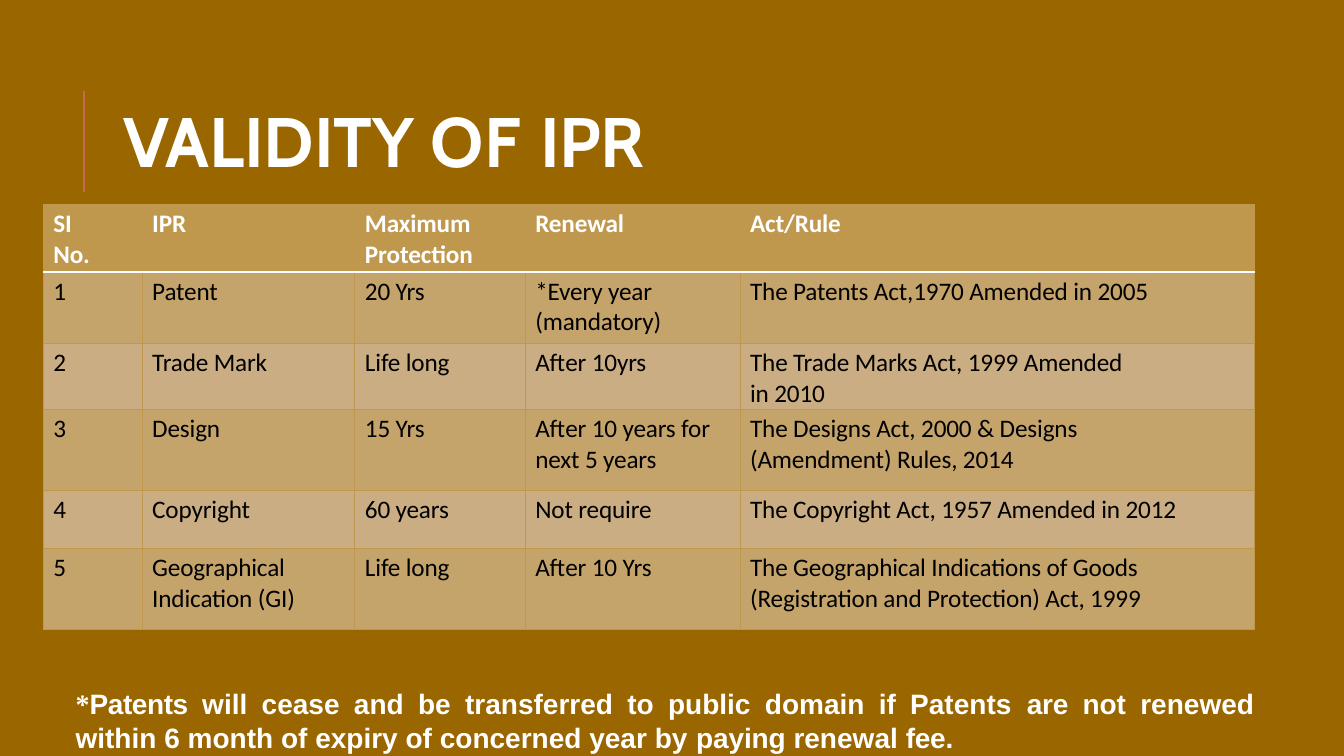
from lxml.etree import SubElement
from pptx import Presentation
from pptx.dml.color import RGBColor
from pptx.enum.shapes import MSO_CONNECTOR
from pptx.enum.text import MSO_ANCHOR, PP_ALIGN
from pptx.oxml import parse_xml
from pptx.oxml.ns import nsdecls, qn
from pptx.util import Inches, Pt

BROWN = RGBColor(0x99, 0x66, 0x00)
GOLD = RGBColor(0xBF, 0x97, 0x4D)
DARK_BAND = RGBColor(0xC5, 0xA4, 0x6C)
LIGHT_BAND = RGBColor(0xCA, 0xAD, 0x82)
RUST = RGBColor(0xC6, 0x69, 0x51)
WHITE = RGBColor(0xFF, 0xFF, 0xFF)
BLACK = RGBColor(0x00, 0x00, 0x00)

COLUMN_WIDTHS = [0.98, 2.11, 1.69, 2.13, 5.1]
ROW_HEIGHTS = [0.67, 0.71, 0.58, 0.81, 0.57, 0.81]
ROWS = [
    ["SI\nNo.", "IPR", "Maximum Protection", "Renewal", "Act/Rule"],
    ["1", "Patent", "20 Yrs", "*Every year (mandatory)",
     "The Patents Act,1970 Amended in 2005"],
    ["2", "Trade Mark", "Life long", "After 10yrs",
     "The Trade Marks Act, 1999 Amended in 2010"],
    ["3", "Design", "15 Yrs", "After 10 years for next 5 years",
     "The Designs Act, 2000 & Designs (Amendment) Rules, 2014"],
    ["4", "Copyright", "60 years", "Not require",
     "The Copyright Act, 1957 Amended in 2012"],
    ["5", "Geographical Indication (GI)", "Life long", "After 10 Yrs",
     "The Geographical Indications of Goods (Registration and Protection) Act, 1999"],
]
NARROW_CELLS = {(2, 4), (3, 4)}


def add_run(paragraph, text, font_name, size, color, bold, spacing=0):
    run = paragraph.add_run()
    run.text = text
    run.font.name = font_name
    run.font.size = Pt(size)
    run.font.color.rgb = color
    run.font.bold = bold
    run.font._element.set("spc", str(round(spacing * 100)))


def set_margins(frame, top):
    frame.margin_left = frame.margin_right = frame.margin_bottom = 0
    frame.margin_top = Inches(top)


def add_title(slide, left, top, width, height):
    rule = slide.shapes.add_connector(
        MSO_CONNECTOR.STRAIGHT, Inches(left - 0.29), Inches(top + 1.26),
        Inches(left - 0.29), Inches(top + 0.26))
    rule.line.color.rgb = RUST
    rule.line.width = Pt(1.5)
    SubElement(rule._element.spPr, qn("a:effectLst"))
    title = slide.shapes.title
    title.left, title.top = Inches(left), Inches(top)
    title.width, title.height = Inches(width), Inches(height)
    frame = title.text_frame
    frame.vertical_anchor = MSO_ANCHOR.MIDDLE
    paragraph = frame.paragraphs[0]
    paragraph.alignment = PP_ALIGN.LEFT
    paragraph.line_spacing = 0.8
    for text, spacing in [("VALIDITY ", -0.1), ("OF ", 1), ("IPR", -0.2)]:
        add_run(paragraph, text, "Cabin", 50, WHITE, True, spacing)


def add_borders(cell, top_color, top_width, bottom_color, bottom_width):
    properties = cell._tc.get_or_add_tcPr()
    borders = [("lnL", GOLD, 0.75), ("lnR", GOLD, 0.75),
               ("lnT", top_color, top_width), ("lnB", bottom_color, bottom_width)]
    for index, (side, color, width) in enumerate(borders):
        properties.insert(index, parse_xml(
            f'<a:{side} {nsdecls("a")} w="{Pt(width)}"><a:solidFill>'
            f'<a:srgbClr val="{color}"/></a:solidFill></a:{side}>'))


def fill_cell(cell, text, row, narrow):
    header = row == 0
    set_margins(cell, 0.04)
    cell.fill.solid()
    cell.fill.fore_color.rgb = GOLD if header else DARK_BAND if row % 2 else LIGHT_BAND
    for index, line in enumerate(text.split("\n")):
        frame = cell.text_frame
        paragraph = frame.add_paragraph() if index else frame.paragraphs[0]
        properties = paragraph._p.get_or_add_pPr()
        properties.set("marL", str(Inches(0.1)))
        if narrow:
            properties.set("marR", str(Inches(1.19)))
        add_run(paragraph, line, "Calibri", 18, WHITE if header else BLACK, header, -0.1)
    top = (WHITE, 1.25) if row == 1 else (GOLD, 0.75)
    bottom = (WHITE, 1.25) if header else (GOLD, 0.75)
    add_borders(cell, *top, *bottom)


def add_validity_table(slide, left, top, width, height):
    table = slide.shapes.add_table(
        len(ROWS), len(COLUMN_WIDTHS), Inches(left), Inches(top),
        Inches(width), Inches(height)).table
    for column, column_width in zip(table.columns, COLUMN_WIDTHS):
        column.width = Inches(column_width)
    for row, row_height in zip(table.rows, ROW_HEIGHTS):
        row.height = Inches(row_height)
    for row, texts in enumerate(ROWS):
        for column, text in enumerate(texts):
            fill_cell(table.cell(row, column), text, row, (row, column) in NARROW_CELLS)


def add_footnote(slide, left, top, width, height):
    box = slide.shapes.add_textbox(Inches(left), Inches(top), Inches(width), Inches(height))
    frame = box.text_frame
    frame.word_wrap = True
    set_margins(frame, 0.01)
    paragraph = frame.paragraphs[0]
    paragraph.alignment = PP_ALIGN.JUSTIFY
    paragraph.line_spacing = 1.01
    paragraph._p.get_or_add_pPr().set("marL", str(Inches(0.01)))
    add_run(paragraph, "*", "Times New Roman", 20, WHITE, True, -0.3)
    for text, spacing in [
        ("Patents ", -0.3),
        ("will cease and be transferred to public domain if Patents ", 0),
        ("are ", -0.2),
        ("not renewed within 6 month of expiry of concerned year by ", 0),
        ("paying ", -0.1), ("renewal ", 0), ("fee.", -0.2),
    ]:
        add_run(paragraph, text, "Arial", 20, WHITE, True, spacing)


def main():
    presentation = Presentation()
    presentation.slide_width = Inches(13.33)
    presentation.slide_height = Inches(7.5)
    slide = presentation.slides.add_slide(presentation.slide_layouts.get_by_name("Title Only"))
    slide.background.fill.solid()
    slide.background.fill.fore_color.rgb = BROWN
    add_title(slide, 1.12, 0.64, 10.63, 1.64)
    add_validity_table(slide, 0.43, 2.03, 12.01, 4.15)
    add_footnote(slide, 0.74, 6.8, 11.7, 0.69)
    presentation.save("out.pptx")


if __name__ == "__main__":
    main()
